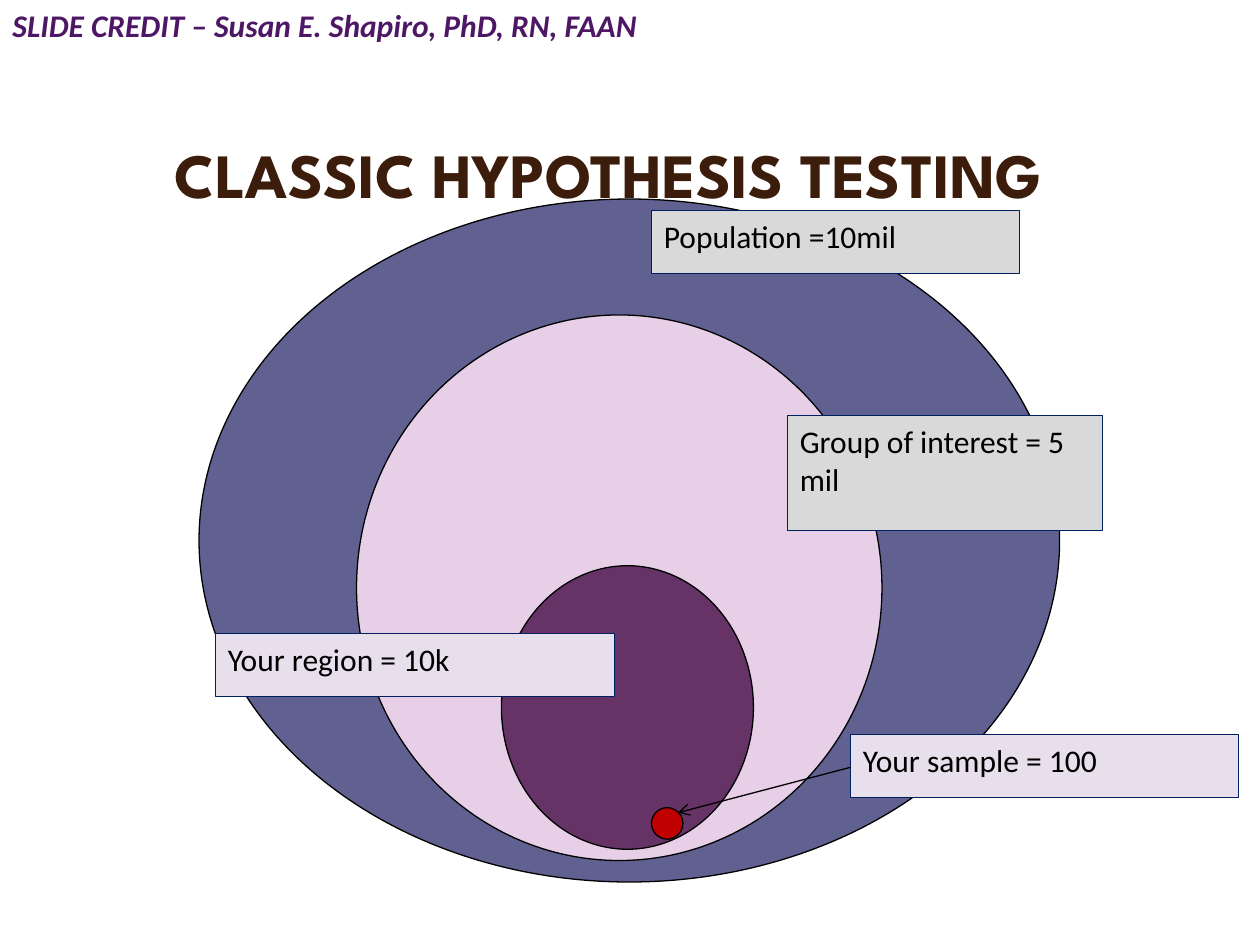
from lxml import etree
from pptx import Presentation
from pptx.dml.color import RGBColor
from pptx.enum.shapes import MSO_CONNECTOR, MSO_SHAPE
from pptx.enum.text import MSO_ANCHOR, PP_ALIGN
from pptx.oxml.ns import qn
from pptx.util import Inches, Pt

OVAL, RECT = MSO_SHAPE.OVAL, MSO_SHAPE.RECTANGLE
STRAIGHT = MSO_CONNECTOR.STRAIGHT
TOP, MIDDLE = MSO_ANCHOR.TOP, MSO_ANCHOR.MIDDLE
LEFT, CENTER = PP_ALIGN.LEFT, PP_ALIGN.CENTER

RINGS = [
    ((1.58, 1.58, 6.83, 5.42), "616191"),
    ((2.83, 2.5, 4.17, 4.33), "E7CFE7"),
    ((3.98, 4.49, 2, 2.25), "663366"),
    ((5.17, 6.41, 0.25, 0.25), "C00000"),
]
LABELS = [
    ("Population =10mil", (5.17, 1.67, 2.92, 0.5), "D9D9D9"),
    ("Group of interest = 5 mil", (6.25, 3.3, 2.5, 0.91), "D9D9D9"),
    ("Your region = 10k", (1.71, 5.03, 3.17, 0.5), "E7DFEB"),
    ("Your sample = 100", (6.75, 5.83, 3.08, 0.5), "E7DFEB"),
]


def color(code):
    """Turn a hex string into a colour."""
    return RGBColor.from_string(code)


def write(shape, text, code="000000", size=18, face="Calibri",
          bold=False, italic=False, align=LEFT, anchor=TOP, wrap=True):
    """Put one styled paragraph into a shape."""
    frame = shape.text_frame
    frame.text = text
    frame.word_wrap = wrap
    frame.vertical_anchor = anchor
    para = frame.paragraphs[0]
    para.alignment = align
    font = para.runs[0].font
    font.name, font.size = face, Pt(size)
    font.bold, font.italic = bold, italic
    font.color.rgb = color(code)


def add_box(slide, kind, box, fill, line):
    """Add a filled and outlined preset shape."""
    shape = slide.shapes.add_shape(kind, *map(Inches, box))
    shape.shadow.inherit = False
    shape.fill.solid()
    shape.fill.fore_color.rgb = color(fill)
    shape.line.color.rgb = color(line)
    shape.line.width = Pt(0.75)
    return shape


def add_text(slide, text, box, **style):
    """Add a plain text box."""
    write(slide.shapes.add_textbox(*map(Inches, box)), text, **style)


def add_arrow(slide, start, end):
    """Add a thin black line with an open arrowhead at its end."""
    arrow = slide.shapes.add_connector(STRAIGHT, *map(Inches, start + end))
    arrow.line.color.rgb = color("000000")
    arrow.line.width = Pt(0.75)
    etree.SubElement(arrow.line._get_or_add_ln(), qn("a:tailEnd"), type="arrow")
    etree.SubElement(arrow._element.spPr, qn("a:effectLst"))


def main():
    """Build the slide and save it."""
    deck = Presentation()
    deck.slide_width, deck.slide_height = Inches(10), Inches(7.5)
    slide = deck.slides.add_slide(deck.slide_layouts[6])
    for box, fill in RINGS:
        add_box(slide, OVAL, box, fill, "000000")
    for text, box, fill in LABELS:
        write(add_box(slide, RECT, box, fill, "002060"), text)
    add_arrow(slide, (6.75, 6.09), (5.38, 6.45))
    add_text(slide, "CLASSIC HYPOTHESIS TESTING", (0.33, 0.75, 9, 1.25),
             code="3C1C0A", size=36, face="League Spartan", bold=True,
             align=CENTER, anchor=MIDDLE)
    add_text(slide, "SLIDE CREDIT – Susan E. Shapiro, PhD, RN, FAAN",
             (0, 0, 5.21, 0.4), code="4E1765", bold=True, italic=True,
             wrap=False)
    deck.save("out.pptx")


if __name__ == "__main__":
    main()
